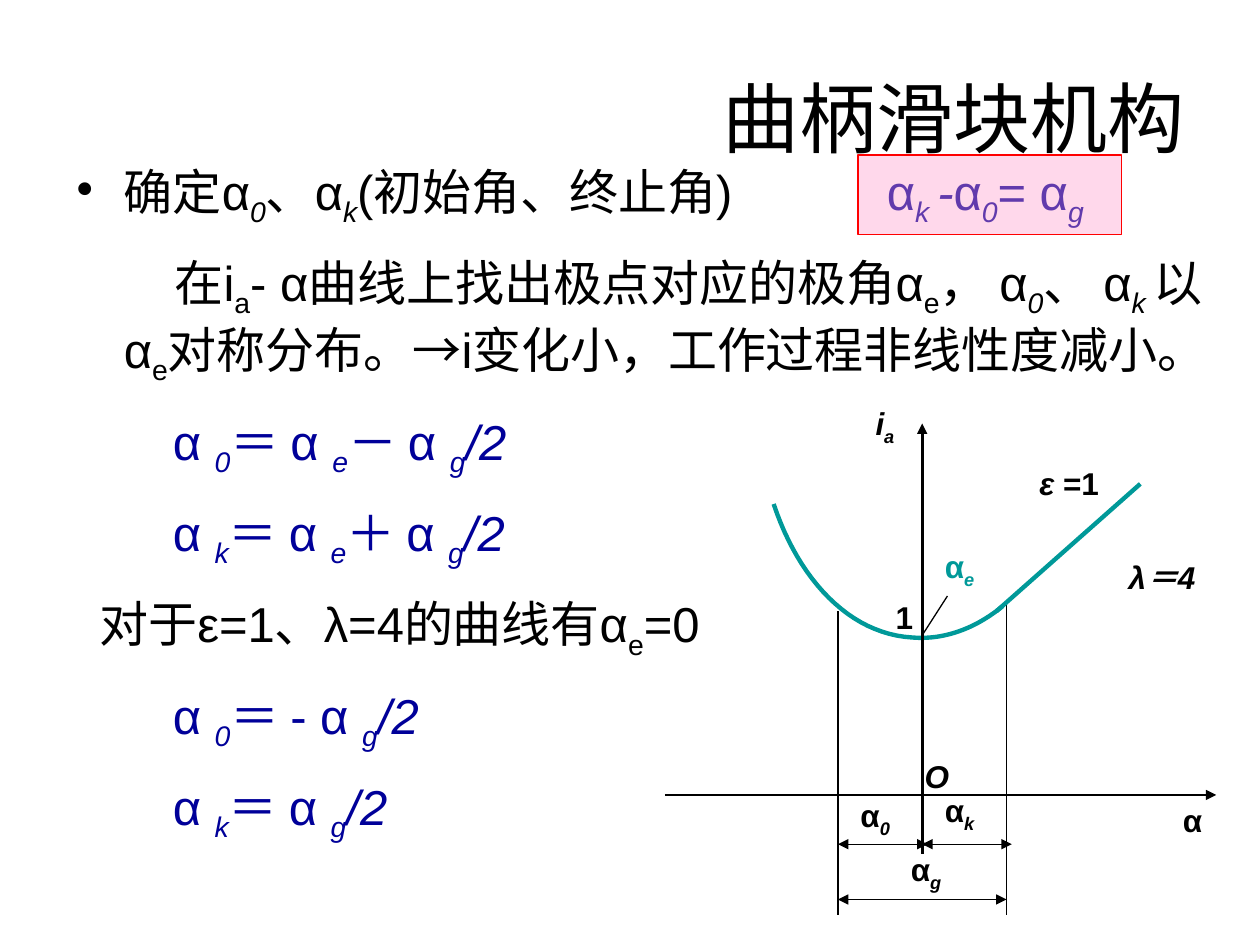
from dataclasses import dataclass

from pptx import Presentation
from pptx.dml.color import RGBColor
from pptx.enum.shapes import MSO_CONNECTOR, MSO_SHAPE
from pptx.enum.text import MSO_ANCHOR, PP_ALIGN
from pptx.oxml.ns import qn
from pptx.util import Pt
from lxml.etree import SubElement


@dataclass(frozen=True)
class Theme:
    font: str = "Arial"
    black: str = "000000"
    navy: str = "000099"
    teal: str = "009999"
    red: str = "FF0000"
    pink: str = "FF99CC"
    head: int = 44
    body: int = 28
    label: int = 18
    thin: float = 0.75
    axis: float = 1.5
    curve: float = 2.5


class Board:
    def __init__(self, slide, theme):
        self.shapes = slide.shapes
        self.theme = theme

    def box(self, x, y, w, h):
        frame = self.shapes.add_textbox(Pt(x), Pt(y), Pt(w), Pt(h)).text_frame
        frame.word_wrap = True
        return frame

    def letter(self, para, runs, size, color, bold=False):
        for text, flags in runs:
            run = para.add_run()
            run.text = text
            font = run.font
            font.name = self.theme.font
            font.size = Pt(size)
            font.bold = bold
            font.italic = "i" in flags
            tone = self.theme.navy if "n" in flags else color
            font.color.rgb = RGBColor.from_string(tone)
            if "s" in flags:
                run._r.get_or_add_rPr().set("baseline", "-25000")

    def title(self, text, *place):
        frame = self.box(*place)
        frame.vertical_anchor = MSO_ANCHOR.MIDDLE
        para = frame.paragraphs[0]
        para.alignment = PP_ALIGN.RIGHT
        self.letter(para, [(text, "")], self.theme.head, self.theme.black)

    def body(self, items, *place):
        frame = self.box(*place)
        for i, (left, first, color, runs) in enumerate(items):
            para = frame.add_paragraph() if i else frame.paragraphs[0]
            if i:
                para.space_before = Pt(14)
            props = para._p.get_or_add_pPr()
            props.set("marL", str(Pt(left)))
            props.set("indent", str(Pt(first)))
            if i == 0:
                SubElement(props, qn("a:buChar"), char="•")
                tabs = SubElement(props, qn("a:tabLst"))
                SubElement(tabs, qn("a:tab"), pos=str(Pt(463)), algn="l")
            self.letter(para, runs, self.theme.body, color)

    def label(self, runs, x, y, w, h=29, color=None):
        para = self.box(x, y, w, h).paragraphs[0]
        self.letter(para, runs, self.theme.label, color or self.theme.black, True)

    def line(self, x1, y1, x2, y2, width, color=None, ends=()):
        link = self.shapes.add_connector(
            MSO_CONNECTOR.STRAIGHT, Pt(x1), Pt(y1), Pt(x2), Pt(y2))
        link.line.width = Pt(width)
        link.line.color.rgb = RGBColor.from_string(color or self.theme.black)
        for end in ends:
            SubElement(link.line._get_or_add_ln(), qn(f"a:{end}"), type="triangle")
        SubElement(link._element.spPr, qn("a:effectLst"))

    def curve(self, start, bends, steps=24):
        path = self.shapes.build_freeform(*map(Pt, start), scale=1.0)
        for a, b, end in bends:
            points = []
            for n in range(1, steps + 1):
                t = n / steps
                u = 1 - t
                points.append(tuple(
                    Pt(u**3 * p + 3 * u * u * t * q + 3 * u * t * t * r + t**3 * s)
                    for p, q, r, s in zip(start, a, b, end)))
            path.add_line_segments(points, close=False)
            start = end
        shape = path.convert_to_shape()
        shape.shadow.inherit = False
        shape.fill.background()
        shape.line.width = Pt(self.theme.curve)
        shape.line.color.rgb = RGBColor.from_string(self.theme.teal)

    def panel(self, x, y, w, h, alpha):
        shape = self.shapes.add_shape(
            MSO_SHAPE.RECTANGLE, Pt(x), Pt(y), Pt(w), Pt(h))
        shape.shadow.inherit = False
        shape.fill.solid()
        shape.fill.fore_color.rgb = RGBColor.from_string(self.theme.pink)
        tint = shape._element.spPr.find(qn("a:solidFill"))[0]
        SubElement(tint, qn("a:alpha"), val=str(alpha * 1000))
        shape.line.color.rgb = RGBColor.from_string(self.theme.red)
        shape.line.width = Pt(self.theme.thin)


def main():
    deck = Presentation()
    deck.slide_width, deck.slide_height = Pt(720), Pt(540)
    theme = Theme()
    board = Board(deck.slides.add_slide(deck.slide_layouts[6]), theme)

    zero, kay, gee, ee = [(c, "si") for c in "0kge"]
    low = ("e", "s")
    half = [gee, ("/2", "i")]
    alpha = ("α ", "")
    black, navy = theme.black, theme.navy
    board.body([
        (27, -27, black, [
            ("确定α", ""), zero, ("、α", ""), kay, ("(初始角、终止角)\t", ""),
            ("α", "n"), ("k ", "sin"), ("-", "in"), ("α", "n"), ("0", "sin"),
            ("= α", "n"), ("g", "sin")]),
        (27, 29, black, [
            ("在i", ""), ("a", "s"), ("- α曲线上找出极点对应的极角α", ""), low,
            ("， α", ""), zero, ("、 α", ""), ("k ", "si"), ("以α", ""), low,
            ("对称分布。→i变化小，工作过程非线性度减小。", "")]),
        (55, 0, navy, [alpha, zero, ("＝ α ", ""), ee, ("－ α ", "")] + half),
        (55, 0, navy, [alpha, kay, ("＝ α ", ""), ee, ("＋ α ", "")] + half),
        (13, 0, black, [("对于ε=1、λ=4的曲线有α", ""), low, ("=0", "")]),
        (55, 0, navy, [alpha, zero, ("＝ - α ", "")] + half),
        (55, 0, navy, [alpha, kay, ("＝ α ", "")] + half),
    ], 36.7, 88.6, 669, 428)
    board.title("曲柄滑块机构", 36, 21.6, 648, 90)

    mid, span, base = 527, 48.2, 454.3
    left, right = mid - span, mid + span
    both = ("headEnd", "tailEnd")
    board.line(left, 349.2, left, 522.7, theme.thin)
    board.line(right, 344.2, right, 522.7, theme.thin)
    board.line(541.4, 340.6, mid, 363, theme.thin)
    board.curve((573.1, 346.3), [
        ((557.3, 359.3), (539.3, 365.8), (521.3, 364.3)),
        ((485.3, 362.2), (456.5, 331.2), (442.1, 288))])
    board.line(569.5, 349.2, 651.6, 276.5, theme.curve, theme.teal)
    board.line(380, base, 695, base, theme.axis, ends=["tailEnd"])
    board.line(mid, 488, mid, 242, theme.axis, ends=["tailEnd"])
    for x1, x2, y in [(left, mid + 3, 482.4), (mid, right + 3, 482.4),
                      (left, right, 514)]:
        board.line(x1, y, x2, y, theme.thin, ends=both)

    sign = ("α", "")
    board.label([sign, ee], 532.8, 308.9, 45.4, 34.6, theme.teal)
    for runs, x, y, w in [
        ([sign], 668.9, 454.3, 33.8),
        ([("i", "i"), ("a", "si")], 493.2, 227.5, 36.7),
        ([("ε ", "i"), ("=1", "")], 586.8, 261.4, 56.9),
        ([("λ＝4", "i")], 637.9, 315.4, 56.9),
        ([("O", "i")], 521.3, 429.1, 33.8),
        ([sign, zero], 484.6, 451.4, 39.6),
        ([sign, kay], 532.8, 448.6, 39.6),
        ([sign, gee], 513.4, 482.4, 39.6),
        ([("1", "")], 504.7, 338.4, 23),
    ]:
        board.label(runs, x, y, w)
    board.panel(490.3, 88.6, 150.5, 45.4, 38)
    deck.save("out.pptx")


if __name__ == "__main__":
    main()
